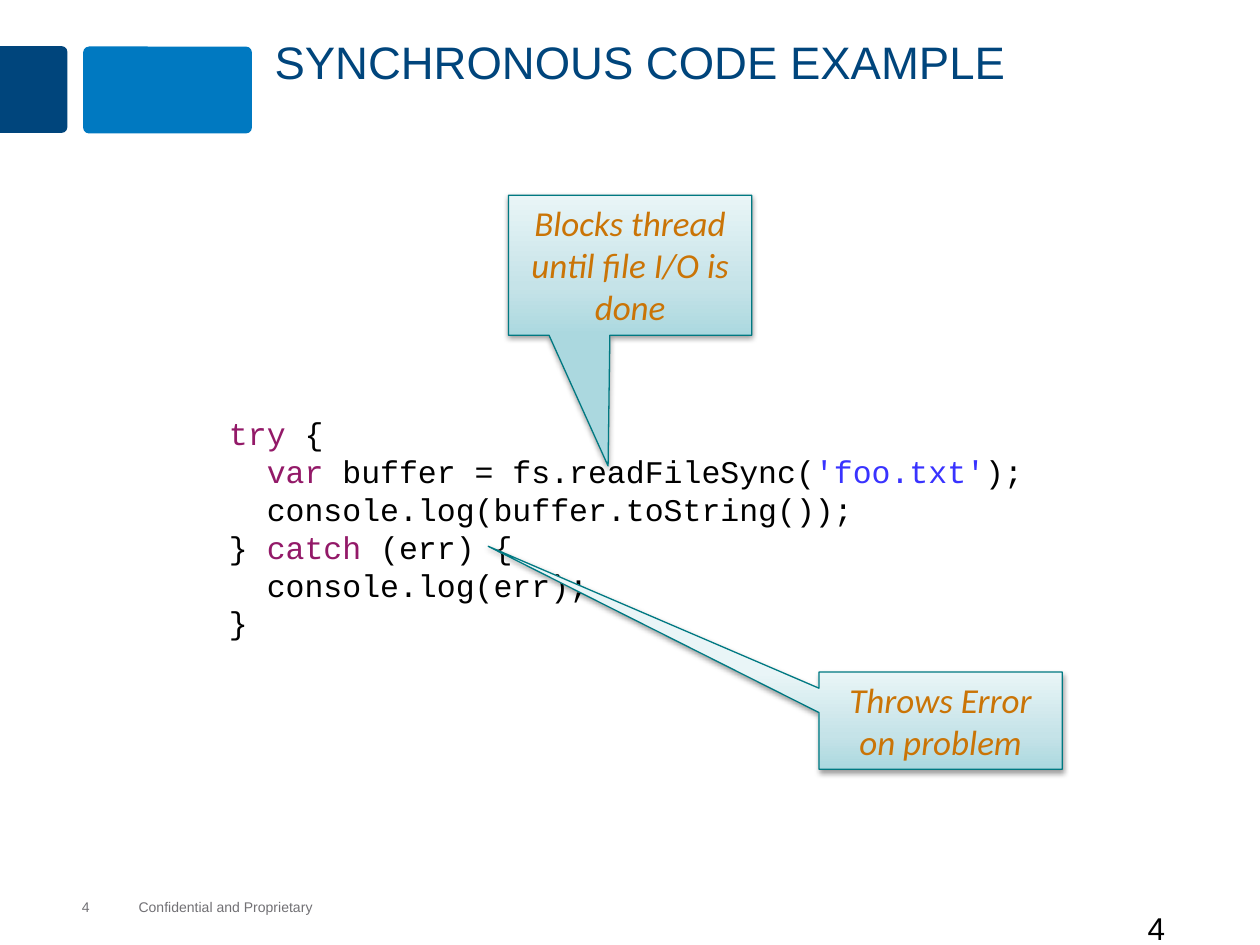
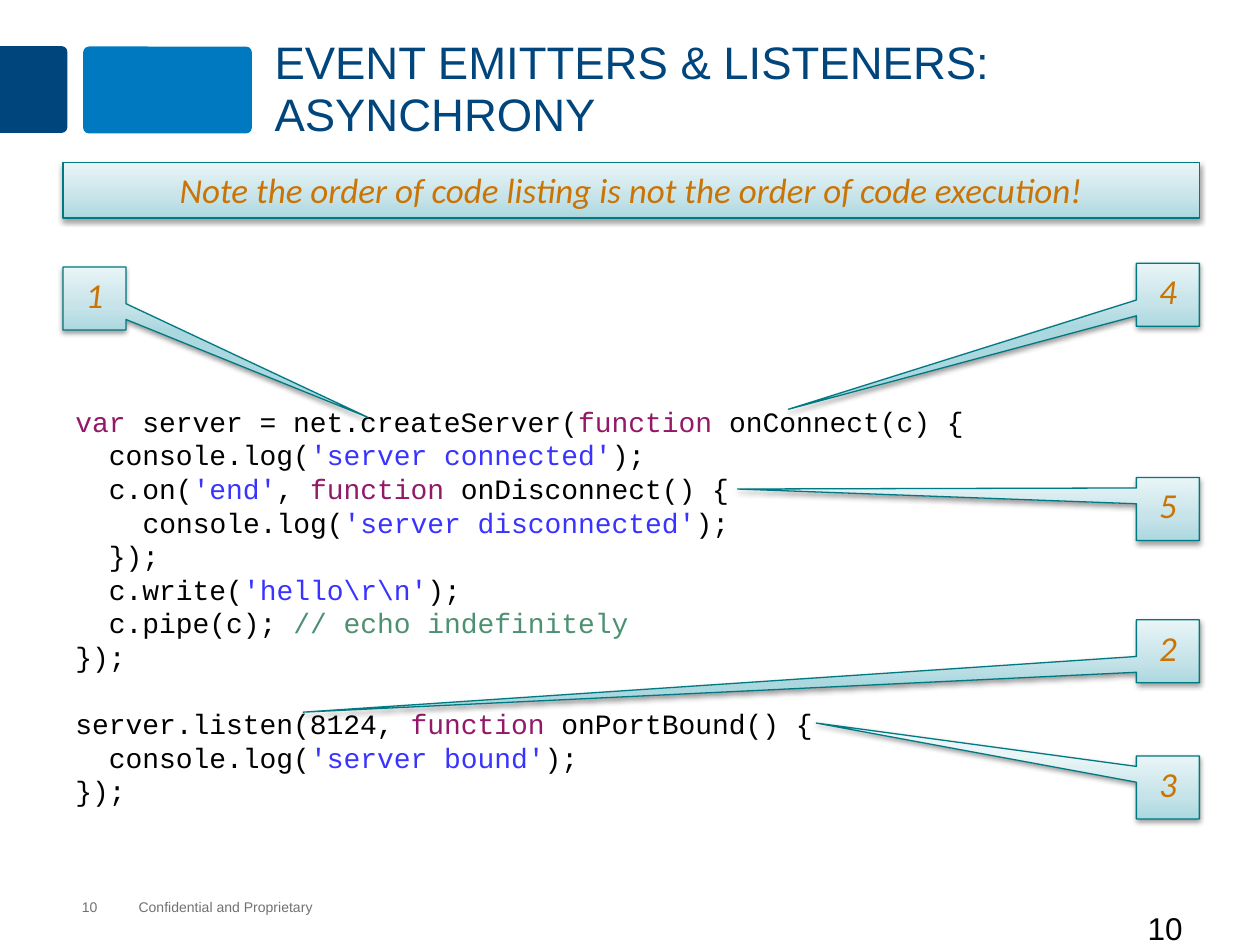
import pptx
import pptx.util
import pptx.dml.color
import pptx.enum.shapes
import pptx.enum.text
import pptx.oxml

Pt = pptx.util.Pt
SHAPE = pptx.enum.shapes.MSO_SHAPE
ANCHOR = pptx.enum.text.MSO_ANCHOR
ALIGN = pptx.enum.text.PP_ALIGN
A_NS = 'xmlns:a="http://schemas.openxmlformats.org/drawingml/2006/main"'

COLORS = {
    "navy": "00457C", "blue": "0079C1", "gray": "717074", "plain": "000000",
    "keyword": "931968", "string": "3933FF", "comment": "4D9072",
    "note": "CA7406", "note_line": "007982",
    "note_dark": "ABD8DF", "note_mid": "C5E3E8", "note_light": "E9F5F7",
}
MONO_WIDTH = 0.6    # character width of the code font, in ems
CODE_LEADING = 1.2  # line pitch of the code, in ems


def rgb(name):
    return pptx.dml.color.RGBColor.from_string(COLORS[name])


def style(r, size, color, font="Arial", italic=False):
    r.font.size, r.font.name, r.font.italic = Pt(size), font, italic
    r.font.color.rgb = rgb(color)


def add_text(s, box, text, size, color, anchor=ANCHOR.TOP, margins=True):
    sp = s.shapes.add_textbox(*map(Pt, box))
    tf = sp.text_frame
    tf.word_wrap = True
    tf.vertical_anchor = anchor
    if not margins:
        tf.margin_left = tf.margin_right = tf.margin_top = tf.margin_bottom = 0
    tf.text = text
    p = tf.paragraphs[0]
    style(p.runs[0], size, color)
    return p


def add_block(s, kind, box, color, radius):
    sp = s.shapes.add_shape(kind, *map(Pt, box))
    sp.shadow.inherit = False
    sp.fill.solid()
    sp.fill.fore_color.rgb = rgb(color)
    sp.line.fill.background()
    sp.adjustments[0] = radius
    return sp


def add_slide(prs, title, number):
    """Start a slide with the blocks, footer, title and page numbers."""
    s = prs.slides.add_slide(prs.slide_layouts[6])
    tab = add_block(s, SHAPE.ROUND_2_SAME_RECTANGLE, (-5.76, 31.7, 49.7, 38.9), "navy", 0.09)
    tab.rotation = 90
    add_block(s, SHAPE.ROUNDED_RECTANGLE, (47.5, 26.6, 96.5, 49.7), "blue", 0.07)
    for box, text in (((79.2, 513.4, 103, 9.4), "Confidential and Proprietary"),
                      ((46.8, 513.4, 30, 9.4), number)):
        add_text(s, box, text, 8, "gray", ANCHOR.MIDDLE, margins=False)
    add_text(s, (149.8, 18, 552.2, 65.5), title, 26, "navy").line_spacing = 0.95
    add_text(s, (648.7, 516.2, 71.3, 23.8), number, 18, "plain")
    return s


def add_note(s, box, text, tip=None):
    """Shaded note; with a tip point it becomes a callout."""
    kind = SHAPE.RECTANGULAR_CALLOUT if tip else SHAPE.RECTANGLE
    sp = s.shapes.add_shape(kind, *map(Pt, box))
    if tip:
        for i in range(2):
            start, extent = box[i], box[i + 2]
            sp.adjustments[i] = (tip[i] - start - extent / 2) / extent
    sp.line.color.rgb = rgb("note_line")
    sp.line.width = Pt(0.75)

    # Gradient from dark at the bottom to light at the top, and a soft shadow
    stops = "".join(
        f'<a:gs pos="{pos * 1000}"><a:srgbClr val="{COLORS[name]}"/></a:gs>'
        for pos, name in ((0, "note_dark"), (35, "note_mid"), (100, "note_light")))
    ln = sp.line._get_or_add_ln()
    ln.addprevious(pptx.oxml.parse_xml(
        f'<a:gradFill {A_NS} rotWithShape="1"><a:gsLst>{stops}</a:gsLst>'
        '<a:lin ang="16200000" scaled="0"/></a:gradFill>'))
    ln.addnext(pptx.oxml.parse_xml(
        f'<a:effectLst {A_NS}><a:outerShdw blurRad="{Pt(3.1)}" dist="{Pt(1.6)}" '
        f'dir="5400000" rotWithShape="0"><a:srgbClr val="{COLORS["plain"]}">'
        '<a:alpha val="38000"/></a:srgbClr></a:outerShdw></a:effectLst>'))

    tf = sp.text_frame
    tf.word_wrap = True
    tf.vertical_anchor = ANCHOR.TOP
    tf.text = text
    p = tf.paragraphs[0]
    p.alignment = ALIGN.CENTER
    style(p.runs[0], 20, "note", "Calibri", italic=True)


def add_code(s, box, size, groups):
    """Lines are (indent in characters, run, ...); a coloured run is (text, colour)."""
    tf = s.shapes.add_textbox(*map(Pt, box)).text_frame
    tf.word_wrap = True
    p = None
    for g, lines in enumerate(groups):
        for i, (indent, *runs) in enumerate(lines):
            p = tf.add_paragraph() if p is not None else tf.paragraphs[0]
            p.line_spacing = Pt(size * CODE_LEADING)
            if g and i == 0:
                p.space_before = Pt(size * CODE_LEADING)
            pPr = p._p.get_or_add_pPr()
            pPr.set("marL", str(Pt(indent * MONO_WIDTH * size)))
            pPr.set("indent", "0")
            for run in runs:
                text, color = (run, "plain") if isinstance(run, str) else run
                r = p.add_run()
                r.text = text
                style(r, size, color, "Courier New")


def key(text):
    return text, "keyword"


def lit(text):
    return text, "string"


def synchronous_slide(prs):
    s = add_slide(prs, "SYNCHRONOUS CODE EXAMPLE", "4")
    add_code(s, (123.8, 233.3, 472.3, 159.8), 18, [[
        (0, key("try "), "{"),
        (2, key("var"), " buffer = fs.readFileSync(", lit("'foo.txt'"), ");"),
        (2, "console.log(buffer.toString());"),
        (0, "} ", key("catch"), " (err) {"),
        (2, "console.log(err);"),
        (0, "}"),
    ]])
    add_note(s, (290.6, 111.6, 139, 80), "Blocks thread until file I/O is done", (347.5, 266.3))
    add_note(s, (468, 384, 139, 55.6), "Throws Error on problem", (279, 312.1))


def listeners_slide(prs):
    s = add_slide(prs, "EVENT EMITTERS & LISTENERS: ASYNCHRONY", "10")
    add_code(s, (36, 227.5, 601.2, 282.2), 16, [[
        (0, key("var "), "server = net.createServer(", key("function "), "onConnect(c) {"),
        (2, "console.log(", lit("'server connected'"), ");"),
        (2, "c.on(", lit("'end'"), ", ", key("function "), "onDisconnect() {"),
        (4, "console.log(", lit("'server disconnected'"), ");"),
        (2, "});"),
        (2, "c.write(", lit("'hello\\r\\n'"), ");"),
        (2, "c.pipe(c); ", ("// echo indefinitely", "comment")),
        (0, "});"),
    ], [
        (0, "server.listen(8124, ", key("function "), "onPortBound() {"),
        (2, "console.log(", lit("'server bound'"), ");"),
        (0, "});"),
    ]])

    # Execution order: left and right columns of numbered callouts
    left, right, side = 36, 649.4, 36
    for number, x, y, tip in (("4", right, 150.5, (450.6, 233.9)),
                              ("5", right, 272.9, (421.5, 279.5)),
                              ("1", left, 152.6, (210.4, 238.6)),
                              ("3", right, 432, (466.5, 413.2)),
                              ("2", right, 354.2, (173.3, 407))):
        add_note(s, (x, y, side, side), number, tip)
    add_note(s, (left, 92.9, right + side - left, 31.7),
             "Note the order of code listing is not the order of code execution!")


def main():
    prs = pptx.Presentation()
    prs.slide_width, prs.slide_height = Pt(720), Pt(540)
    synchronous_slide(prs)
    listeners_slide(prs)
    prs.save("out.pptx")


main()
